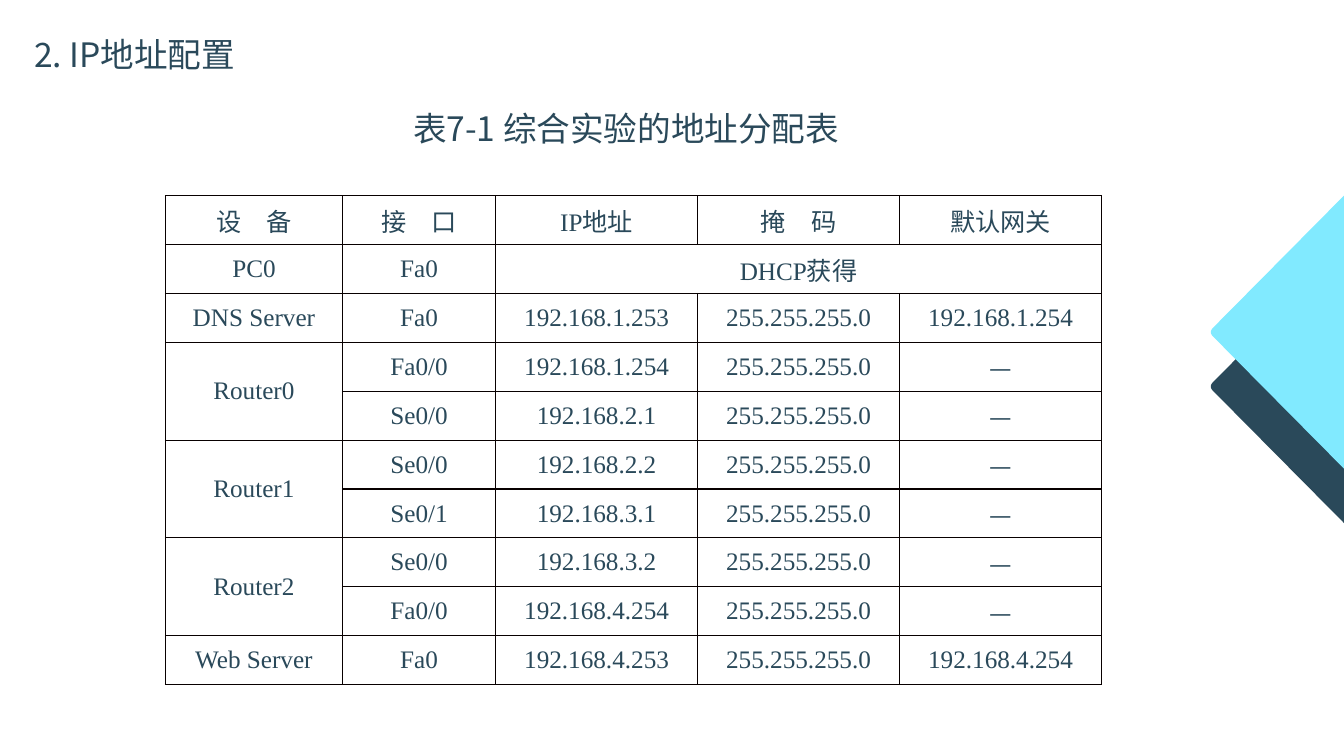
from dataclasses import dataclass

import pptx
import pptx.dml.color
import pptx.enum.text
import pptx.oxml
import pptx.oxml.ns
import pptx.util
from lxml import etree

Cm = pptx.util.Cm
Pt = pptx.util.Pt
qn = pptx.oxml.ns.qn
RGB = pptx.dml.color.RGBColor.from_string


@dataclass(frozen=True)
class Theme:
    ink: str = "2A495A"
    accent: str = "81EAFF"
    border: str = "080000"
    heading_size: int = 24
    table_size: int = 18
    border_width: float = 1
    sans: str = "Noto Sans CJK SC"
    serif: str = "Times New Roman"


@dataclass(frozen=True)
class Box:
    left: float
    top: float
    width: float
    height: float

    def lengths(self):
        return Cm(self.left), Cm(self.top), Cm(self.width), Cm(self.height)


THEME = Theme()
COLUMN_WIDTHS = (4.46, 3.86, 5.09, 5.09, 5.09)
MASK = "255.255.255.0"
DASH = "—"
ADDRESS_ROWS = (
    ("设　备", "接　口", "IP地址", "掩　码", "默认网关"),
    ("PC0", "Fa0", "DHCP获得", "", ""),
    ("DNS Server", "Fa0", "192.168.1.253", MASK, "192.168.1.254"),
    ("Router0", "Fa0/0", "192.168.1.254", MASK, DASH),
    ("", "Se0/0", "192.168.2.1", MASK, DASH),
    ("Router1", "Se0/0", "192.168.2.2", MASK, DASH),
    ("", "Se0/1", "192.168.3.1", MASK, DASH),
    ("Router2", "Se0/0", "192.168.3.2", MASK, DASH),
    ("", "Fa0/0", "192.168.4.254", MASK, DASH),
    ("Web Server", "Fa0", "192.168.4.253", MASK, "192.168.4.254"),
)
MERGES = ((1, 2, 1, 4), (3, 0, 4, 0), (5, 0, 6, 0), (7, 0, 8, 0))


def style_paragraph(para, size, latin):
    para.font.size = Pt(size)
    para.font.color.rgb = RGB(THEME.ink)
    para.font.name = latin
    properties = para._p.get_or_add_pPr().find(qn("a:defRPr"))
    etree.SubElement(properties, qn("a:ea"), typeface=THEME.sans)


def draw_heading(page, box, text, inset=None):
    shape = page.shapes.add_textbox(*box.lengths())
    frame = shape.text_frame
    frame.word_wrap = True
    frame.auto_size = pptx.enum.text.MSO_AUTO_SIZE.SHAPE_TO_FIT_TEXT
    if inset is not None:
        frame.margin_left = frame.margin_right = Cm(inset)
        frame.margin_top = frame.margin_bottom = Cm(inset)
    para = frame.paragraphs[0]
    para.text = text
    style_paragraph(para, THEME.heading_size, THEME.sans)


def draw_arrowhead(page, box, color):
    middle = box.height / 2
    points = [(box.width, box.height)]
    steps = 8
    for step in range(steps + 1):
        t = step / steps
        x = 0.06 * (1 - 3 * t * (1 - t))
        y = middle + 0.1 * (1 - 2 * t)
        points.append((x, y))
    points.append((box.width, 0))
    corners = [(Cm(box.left + x), Cm(box.top + y)) for x, y in points]
    builder = page.shapes.build_freeform(*corners[0])
    builder.add_line_segments(corners[1:], close=True)
    shape = builder.convert_to_shape()
    shape.shadow.inherit = False
    shape.fill.solid()
    shape.fill.fore_color.rgb = RGB(color)
    shape.line.fill.background()


def set_borders(cell):
    properties = cell._tc.get_or_add_tcPr()
    for side in ("lnL", "lnR", "lnT", "lnB"):
        line = etree.SubElement(properties, qn(f"a:{side}"), w=str(Pt(THEME.border_width)))
        fill = etree.SubElement(line, qn("a:solidFill"))
        etree.SubElement(fill, qn("a:srgbClr"), val=THEME.border)


def fill_cell(cell, text):
    cell.margin_left = cell.margin_right = cell.margin_top = cell.margin_bottom = 0
    cell.vertical_anchor = pptx.enum.text.MSO_ANCHOR.MIDDLE
    set_borders(cell)
    cell.fill.background()
    para = cell.text_frame.paragraphs[0]
    para.text = text
    para.alignment = pptx.enum.text.PP_ALIGN.CENTER
    style_paragraph(para, THEME.table_size, THEME.sans if text == DASH else THEME.serif)


def draw_address_table(page, box):
    frame = page.shapes.add_table(len(ADDRESS_ROWS), len(COLUMN_WIDTHS), *box.lengths())
    table = frame.table
    table.first_row = False
    table.horz_banding = False
    for column, width in zip(table.columns, COLUMN_WIDTHS):
        column.width = Cm(box.width * width / sum(COLUMN_WIDTHS))
    for row_index, texts in enumerate(ADDRESS_ROWS):
        table.rows[row_index].height = Cm(box.height / len(ADDRESS_ROWS))
        for column_index, text in enumerate(texts):
            fill_cell(table.cell(row_index, column_index), text)
    for top, left, bottom, right in MERGES:
        table.cell(top, left).merge(table.cell(bottom, right))


def build_address_slide(deck):
    page = deck.slides.add_slide(deck.slide_layouts[6])
    draw_arrowhead(page, Box(30.5, 6.3, 3.37, 6.88), THEME.ink)
    draw_arrowhead(page, Box(30.5, 4.93, 3.37, 6.88), THEME.accent)
    draw_heading(page, Box(0.86, 0.86, 18.11, 1.09), "2. IP地址配置", inset=0)
    draw_heading(page, Box(10.16, 2.59, 18.85, 1.27), "表7-1 综合实验的地址分配表")
    draw_address_table(page, Box(4.17, 4.93, 23.59, 12.32))


def main():
    deck = pptx.Presentation()
    deck.slide_width = Cm(33.87)
    deck.slide_height = Cm(19.05)
    build_address_slide(deck)
    deck.save("out.pptx")


if __name__ == "__main__":
    main()
